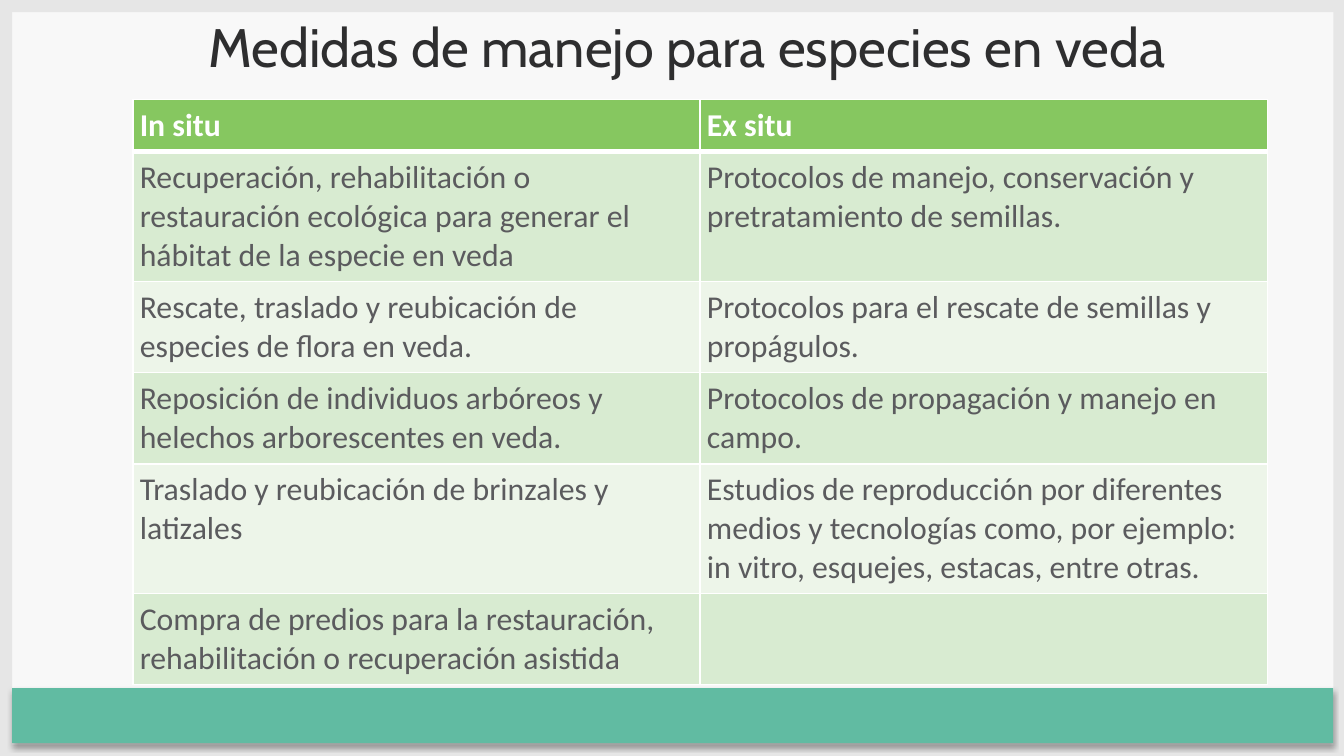
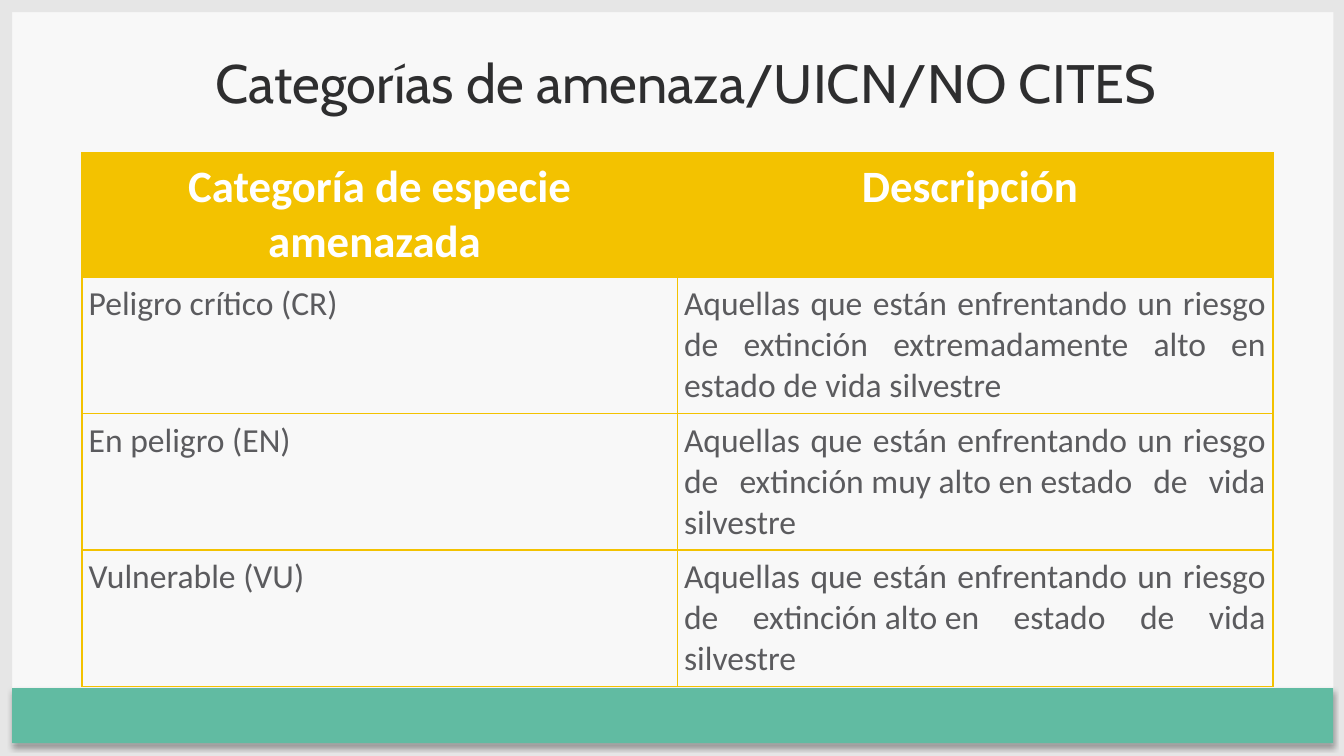
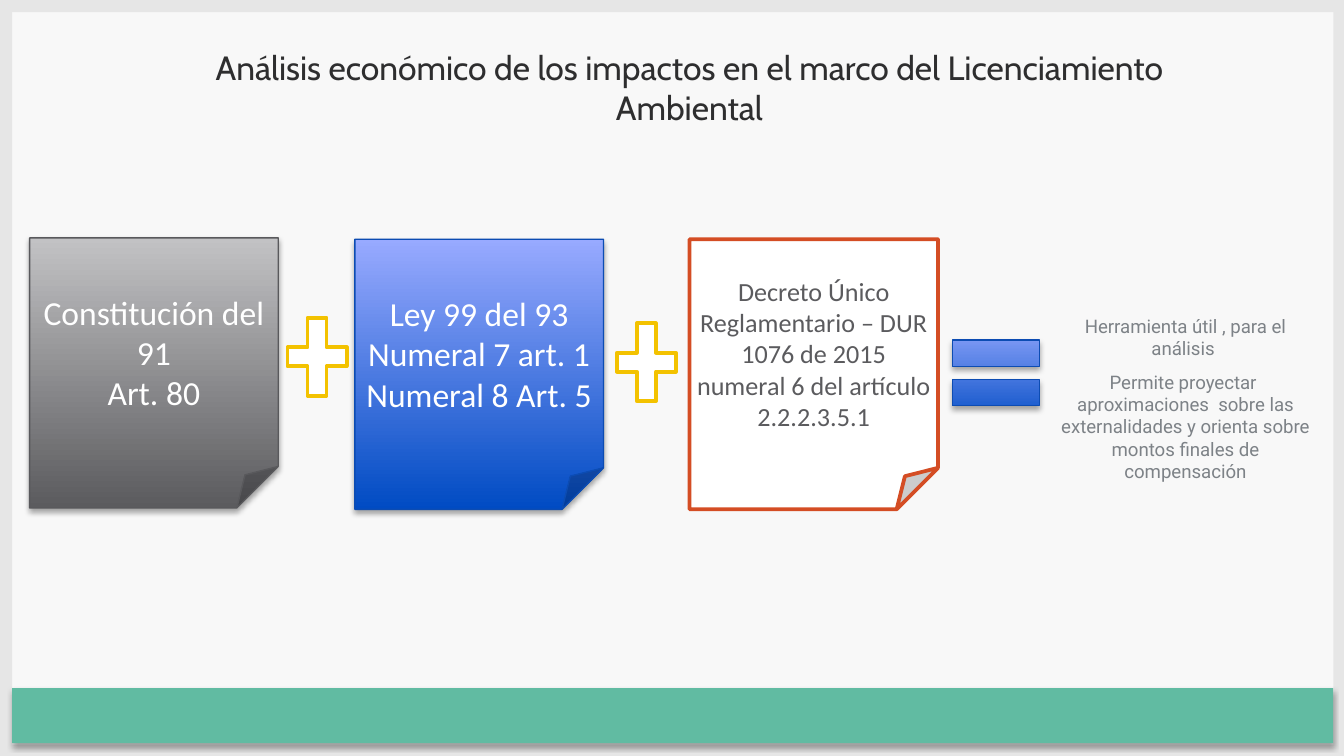
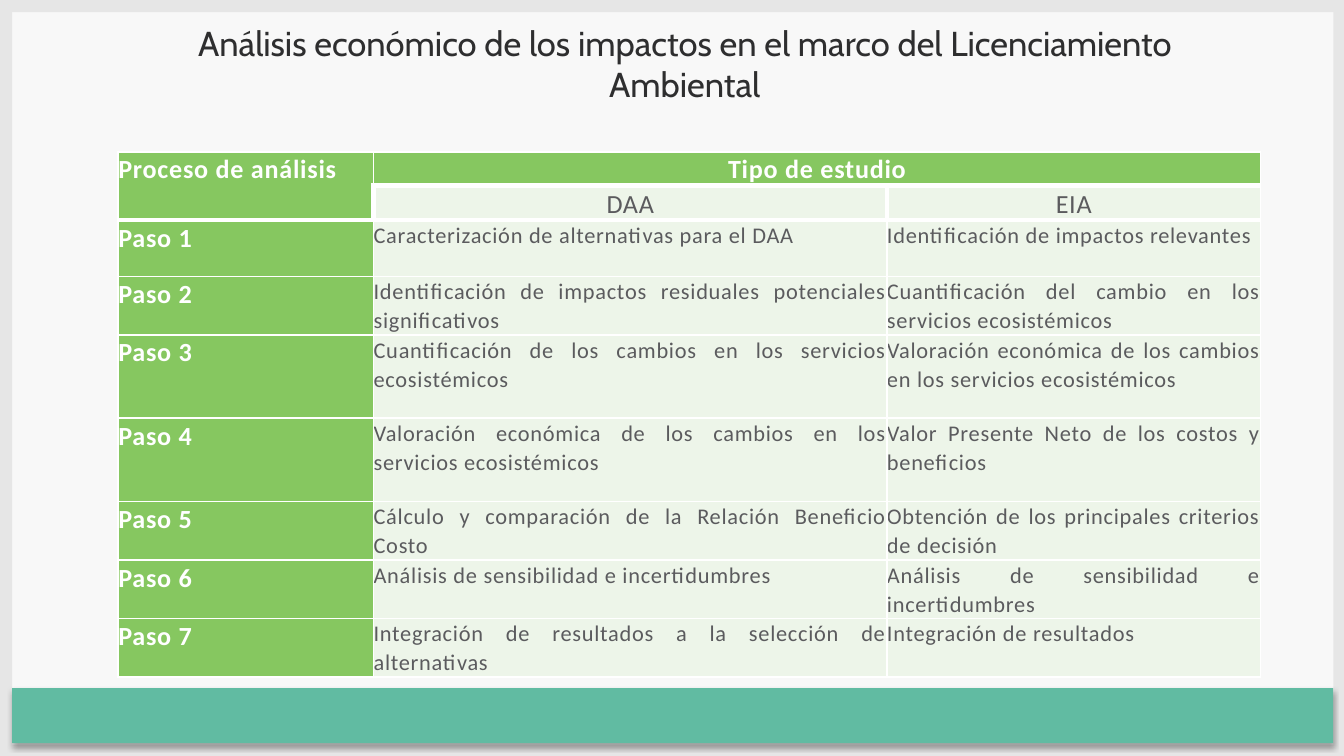
from lxml import etree
from pptx import Presentation
from pptx.dml.color import RGBColor
from pptx.enum.shapes import MSO_SHAPE
from pptx.enum.text import MSO_ANCHOR, MSO_AUTO_SIZE, PP_ALIGN
from pptx.oxml.ns import qn
from pptx.util import Inches, Pt

WHITE, PAPER, EDGE, BAND = "FFFFFF", "F8F8F8", "E6E6E6", "61BBA2"
TITLE_INK, INK, NOTE_INK = "2E2E2F", "5B5B5E", "7D8287"
GREEN, GREEN_MID, GREEN_PALE = "86C760", "D8EBD1", "EDF5E9"
YELLOW, ORANGE = "F3C200", "D44D24"
GRAY_FADE, GRAY_LINE = ("5B5B5E", "C2C2C4"), "59595C"
BLUE_FADE, BLUE_LINE = ("004BC3", "98AAFF"), "0C4CB3"
CENTER, JUSTIFY, LEFT = PP_ALIGN.CENTER, PP_ALIGN.JUSTIFY, PP_ALIGN.LEFT
NBSP = chr(160)

MEASURES = [
    ("In situ", "Ex situ"),
    (f"Recuperación, rehabilitación o restauración ecológica para generar el hábitat de la especie en veda{NBSP}",
     f"Protocolos de manejo, conservación y pretratamiento de semillas.{NBSP}"),
    (f"Rescate, traslado y reubicación de especies de flora en veda.{NBSP}",
     "Protocolos para el rescate de semillas y propágulos."),
    (f"Reposición de individuos arbóreos y helechos arborescentes en veda.{NBSP}",
     f"Protocolos de propagación y manejo en campo.{NBSP}"),
    (f"Traslado y reubicación de brinzales y latizales{NBSP}",
     "Estudios de reproducción por diferentes medios y tecnologías como, por ejemplo: "
     f"in vitro, esquejes, estacas, entre otras.{NBSP}"),
    ("Compra de predios para la restauración, rehabilitación o recuperación asistida", ""),
]
RISK = "Aquellas que están enfrentando un riesgo de extinción"
WILD = f"estado de vida silvestre{NBSP * 2}"
THREATS = [
    (f"Categoría{NBSP}de especie amenazada{NBSP}", f"Descripción{NBSP}"),
    (f"Peligro crítico{NBSP}(CR){NBSP}", f"{RISK} extremadamente alto en {WILD}"),
    (f"En peligro{NBSP}(EN){NBSP}", f"{RISK}{NBSP}muy{NBSP}alto{NBSP}en{NBSP}{WILD}"),
    (f"Vulnerable{NBSP}(VU){NBSP}", f"{RISK}{NBSP}alto{NBSP}en {WILD}"),
]
STEPS = [
    ("Caracterización de alternativas para el DAA", "Identificación de impactos relevantes"),
    ("Identificación de impactos residuales potenciales significativos",
     "Cuantificación del cambio en los servicios ecosistémicos"),
    ("Cuantificación de los cambios en los servicios ecosistémicos",
     "Valoración económica de los cambios en los servicios ecosistémicos"),
    ("Valoración económica de los cambios en los servicios ecosistémicos",
     "Valor Presente Neto de los costos y beneficios"),
    ("Cálculo y comparación de la Relación Beneficio Costo",
     "Obtención de los principales criterios de decisión"),
    ("Análisis de sensibilidad e incertidumbres", "Análisis de sensibilidad e incertidumbres"),
    ("Integración de resultados a la selección de alternativas", "Integración de resultados"),
]
ECONOMIC_TITLE = "Análisis económico de los impactos en el marco del Licenciamiento Ambiental"


def rgb(color):
    return RGBColor.from_string(color)


def set_margins(target, inset):
    target.margin_left = target.margin_right = Inches(inset)
    target.margin_top = target.margin_bottom = Inches(inset)


def write(tf, lines, size, color, font="Calibri", bold=False, align=CENTER, space=0, line=None, spacing=None):
    for i, text in enumerate(lines):
        p = tf.paragraphs[0] if i == 0 else tf.add_paragraph()
        p.text = text
        p.alignment = align
        if i and space:
            p.space_before = Pt(space)
        if line:
            p.line_spacing = line
        for r in p.runs:
            r.font.name, r.font.size, r.font.bold = font, Pt(size), bold
            r.font.color.rgb = rgb(color)
            if spacing:
                r._r.get_or_add_rPr().set("spc", str(round(spacing * 100)))


def add_shadow(sp):
    effects = sp.element.spPr.find(qn("a:effectLst"))
    shadow = etree.SubElement(effects, qn("a:outerShdw"), blurRad=str(Pt(3)), dist=str(Pt(1.8)),
                              dir="5400000", algn="ctr", rotWithShape="0")
    tone = etree.SubElement(shadow, qn("a:srgbClr"), val="000000")
    etree.SubElement(tone, qn("a:alpha"), val="35000")


def add_preset(slide, kind, box, fill, line=None, width=0.75, shadow=False):
    sp = slide.shapes.add_shape(kind, *map(Inches, box))
    sp.shadow.inherit = False
    if isinstance(fill, tuple):
        sp.fill.gradient()
        sp.fill.gradient_angle = 90
        for stop, color in zip(sp.fill.gradient_stops, fill):
            stop.color.rgb = rgb(color)
    else:
        sp.fill.solid()
        sp.fill.fore_color.rgb = rgb(fill)
    if line:
        sp.line.color.rgb = rgb(line)
        sp.line.width = Pt(width)
    else:
        sp.line.fill.background()
    if shadow:
        add_shadow(sp)
    return sp


def add_frame(slide, layout):
    edges = [(0, 0, 10, 0.09), (0, 5.54, 10, 0.09), (0, 0, 0.09, 5.62), (9.92, 0, 0.08, 5.62)]
    parts = [add_preset(slide, MSO_SHAPE.RECTANGLE, box, EDGE) for box in edges]
    parts.append(add_preset(slide, MSO_SHAPE.RECTANGLE, (0.09, 5.12, 9.83, 0.41), BAND, shadow=True))
    for sp in parts:
        layout.shapes.element.append(sp.element)


def add_title(slide, text, box, size=29):
    title = slide.shapes.title
    title.left, title.top, title.width, title.height = map(Inches, box)
    tf = title.text_frame
    tf.auto_size = MSO_AUTO_SIZE.NONE
    tf.vertical_anchor = MSO_ANCHOR.TOP
    tf.word_wrap = True
    set_margins(tf, 0.05)
    write(tf, [text], size, TITLE_INK, "Cabin")


def set_borders(cell, color, **widths):
    tc_pr = cell._tc.get_or_add_tcPr()
    for old in tc_pr.xpath("a:lnL|a:lnR|a:lnT|a:lnB"):
        tc_pr.remove(old)
    for i, side in enumerate("LRTB"):
        ln = etree.Element(qn("a:ln" + side), w=str(Pt(widths.get(side, 1))))
        fill = etree.SubElement(ln, qn("a:solidFill"))
        etree.SubElement(fill, qn("a:srgbClr"), val=color)
        tc_pr.insert(i, ln)


def add_grid(slide, left, top, cols, rows, border, inset=0.05):
    table = slide.shapes.add_table(len(rows), len(cols), Inches(left), Inches(top),
                                   Inches(sum(cols)), Inches(sum(rows))).table
    table.first_row = table.horz_banding = False
    for col, width in zip(table.columns, cols):
        col.width = Inches(width)
    for row, height in zip(table.rows, rows):
        row.height = Inches(height)
    for cell in table.iter_cells():
        set_margins(cell, inset)
        set_borders(cell, border)
    return table


def fill_cell(cell, text, fill, size, color, **style):
    if fill:
        cell.fill.solid()
        cell.fill.fore_color.rgb = rgb(fill)
    else:
        cell.fill.background()
    if text:
        write(cell.text_frame, [text], size, color, **style)


def add_note(slide, left, top, lines, size, color, fill, line, width=0.75, shadow=True):
    sp = add_preset(slide, MSO_SHAPE.FOLDED_CORNER, (left, top, 1.85, 2.01), fill, line, width, shadow)
    tf = sp.text_frame
    tf.word_wrap = True
    tf.vertical_anchor = MSO_ANCHOR.MIDDLE
    set_margins(tf, 0.05)
    write(tf, lines, size, color)


def build_measures(slide):
    add_title(slide, f"Medidas de manejo{NBSP}para especies en{NBSP}veda{NBSP}", (0.43, 0.05, 9.45, 0.88))
    table = add_grid(slide, 0.99, 0.74, [4.22] * 2, [0.34, 0.85, 0.6, 0.6, 0.85, 0.6], WHITE)
    for i, row in enumerate(MEASURES):
        for j, text in enumerate(row):
            cell = table.cell(i, j)
            if i == 0:
                set_borders(cell, WHITE, B=3)
                fill_cell(cell, text, GREEN, 17, WHITE, bold=True, align=LEFT)
            else:
                fill_cell(cell, text, GREEN_MID if i % 2 else GREEN_PALE, 17, INK, align=LEFT)


def build_threats(slide):
    table = add_grid(slide, 0.61, 1.14, [4.43] * 2, [0.92] + [1.01] * 3, YELLOW)
    add_title(slide, f"Categorías de amenaza/UICN/NO CITES{NBSP}", (0.43, 0.32, 9.45, 0.88))
    for i, row in enumerate(THREATS):
        for j, text in enumerate(row):
            if i == 0:
                fill_cell(table.cell(i, j), text, YELLOW, 24, WHITE, bold=True)
            else:
                fill_cell(table.cell(i, j), text, None, 18, INK, align=JUSTIFY)


def build_legal_sum(slide):
    add_title(slide, ECONOMIC_TITLE, (0.98, 0.3, 8.3, 0.88), 18)
    add_note(slide, 0.22, 1.77, ["Constitución del 91", "Art. 80"], 18, WHITE, GRAY_FADE, GRAY_LINE)
    add_note(slide, 2.64, 1.78, ["Ley 99 del 93", "Numeral 7 art. 1", "Numeral 8 Art. 5"],
             18, WHITE, BLUE_FADE, BLUE_LINE)
    add_note(slide, 5.13, 1.78, ["Decreto Único Reglamentario – DUR 1076 de 2015",
                                 "numeral 6 del artículo 2.2.2.3.5.1"],
             14, INK, WHITE, ORANGE, 2, False)
    for left, top in [(2.06, 2.26), (4.51, 2.3)]:
        add_preset(slide, MSO_SHAPE.MATH_PLUS, (left, top, 0.6, 0.79), WHITE, YELLOW, 2)
    add_preset(slide, MSO_SHAPE.MATH_EQUAL, (6.97, 2.36, 0.88, 0.83), BLUE_FADE, BLUE_LINE, shadow=True)
    tf = slide.shapes.add_textbox(*map(Inches, (7.8, 2.29, 2.04, 1.35))).text_frame
    tf.word_wrap = True
    set_margins(tf, 0.05)
    write(tf, ["Herramienta útil , para el análisis ",
               "Permite proyectar  aproximaciones  sobre las externalidades y orienta sobre "
               "montos finales de compensación"], 10, NOTE_INK, "Roboto", space=6)


def build_steps(slide):
    add_title(slide, ECONOMIC_TITLE, (0.88, 0.11, 8.43, 0.88), 18.5)
    rows = [0.24, 0.24, 0.42, 0.42, 0.62, 0.62, 0.42, 0.42, 0.42]
    table = add_grid(slide, 0.88, 1.13, [1.9, 3.82, 2.78], rows, WHITE, 0)
    spread = {"line": 1.07, "spacing": 0.4}
    for i, j, widths in [(0, 0, {"B": 3}), (0, 1, {"B": 3}), (0, 2, {"B": 3}), (1, 0, {"B": 3}),
                         (1, 1, {"L": 3, "T": 3, "R": 3, "B": 3}), (1, 2, {"L": 3, "T": 3, "B": 3}),
                         (2, 0, {"T": 3}), (2, 1, {"T": 3}), (2, 2, {"T": 3})]:
        set_borders(table.cell(i, j), WHITE, **widths)
    table.cell(0, 0).merge(table.cell(1, 0))
    table.cell(0, 1).merge(table.cell(0, 2))
    fill_cell(table.cell(0, 0), "Proceso de análisis", GREEN, 14, WHITE, bold=True, align=JUSTIFY, **spread)
    fill_cell(table.cell(0, 1), "Tipo de estudio", GREEN, 14, WHITE, bold=True, **spread)
    for j, study in enumerate(["DAA", "EIA"], 1):
        fill_cell(table.cell(1, j), study, GREEN_PALE, 14, INK, **spread)
    for n, tasks in enumerate(STEPS, 1):
        fill_cell(table.cell(n + 1, 0), f"Paso {n}", GREEN, 14, WHITE, bold=True, align=JUSTIFY, **spread)
        for j, task in enumerate(tasks, 1):
            fill_cell(table.cell(n + 1, j), task, GREEN_PALE, 12, INK, align=JUSTIFY, **spread)


def main():
    prs = Presentation()
    prs.slide_width = Inches(10)
    prs.slide_height = Inches(10) * 9 // 16
    fill = prs.slide_master.background.fill
    fill.solid()
    fill.fore_color.rgb = rgb(PAPER)
    layout = prs.slide_layouts[5]
    builders = [build_measures, build_threats, build_legal_sum, build_steps]
    slides = [prs.slides.add_slide(layout) for _ in builders]
    add_frame(slides[0], layout)
    for build, slide in zip(builders, slides):
        build(slide)
    prs.save("out.pptx")


if __name__ == "__main__":
    main()
